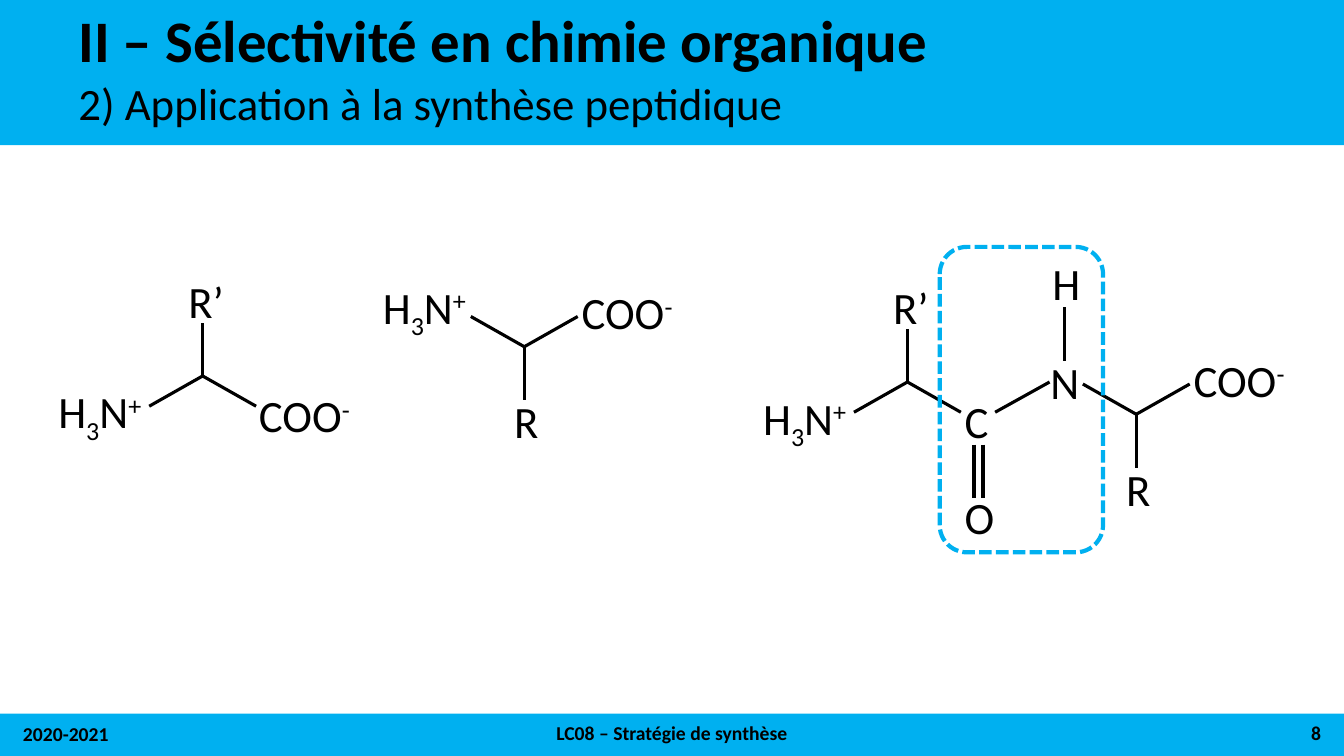
from lxml.etree import SubElement
from pptx import Presentation
from pptx.dml.color import RGBColor
from pptx.enum.dml import MSO_LINE
from pptx.enum.shapes import MSO_CONNECTOR, MSO_SHAPE
from pptx.enum.text import MSO_ANCHOR, PP_ALIGN
from pptx.oxml.ns import qn
from pptx.util import Inches, Pt

COLORS = {"blue": "00B0F0", "black": "000000"}
AMINE = [("H", 0), ("3", -25), ("N", 0), ("+", 30)]
ACID = [("COO", 0), ("-", 30)]
BOND_X, BOND_Y, BOND_LENGTH = 0.53, 0.3, 0.53


def rgb(name):
    """Return the named palette colour."""
    return RGBColor.from_string(COLORS[name])


def add_band(s, top, height):
    """Draw a full-width blue band."""
    sp = s.shapes.add_shape(MSO_SHAPE.RECTANGLE, 0, Inches(top), Inches(13.33), Inches(height))
    sp.shadow.inherit = False
    sp.fill.solid()
    sp.fill.fore_color.rgb = rgb("blue")
    sp.line.fill.background()


def add_text(shapes, parts, box, size=32, bold=False, align=PP_ALIGN.LEFT,
             anchor=MSO_ANCHOR.MIDDLE, spacing=1.0):
    """Add one line made of (text, baseline percent) parts."""
    tf = shapes.add_textbox(*[Inches(v) for v in box]).text_frame
    tf.word_wrap = True
    tf.vertical_anchor = anchor
    p = tf.paragraphs[0]
    p.alignment = align
    p.line_spacing = spacing
    for text, baseline in parts:
        r = p.add_run()
        r.text = text
        r.font.name = "Calibri"
        r.font.size = Pt(size)
        r.font.bold = bold
        r.font.color.rgb = rgb("black")
        if baseline:
            r.font._element.set("baseline", str(baseline * 1000))


def add_label(shapes, parts, left, top, width=1.17):
    """Place a chemical group label."""
    add_text(shapes, parts, (left, top, width, 0.71))


def add_atom(shapes, symbol, left, top):
    """Place a one-letter label."""
    add_label(shapes, [(symbol, 0)], left, top, 0.47)


def add_bond(shapes, x1, y1, x2, y2):
    """Draw a single bond."""
    line = shapes.add_connector(MSO_CONNECTOR.STRAIGHT, *[Inches(v) for v in (x1, y1, x2, y2)])
    line.line.color.rgb = rgb("black")
    line.line.width = Pt(2.25)
    SubElement(line._element.spPr, qn("a:effectLst"))


def add_carbon(shapes, x, y, side):
    """Draw three bonds around a carbon; side is -1 for an upward chain, 1 for downward."""
    for dx, dy in ((-BOND_X, -side * BOND_Y), (BOND_X, -side * BOND_Y), (0, side * BOND_LENGTH)):
        add_bond(shapes, x, y, x + dx, y + dy)


def add_amine_end(shapes, x, y):
    """Draw the residue carrying R’ and the free amine."""
    add_carbon(shapes, x, y, -1)
    add_label(shapes, [("R’", 0)], x - 0.24, y - 1.1)
    add_label(shapes, AMINE, x - 1.53, y + 0.03)


def add_acid_end(shapes, x, y):
    """Draw the residue carrying R and the free acid."""
    add_carbon(shapes, x, y, 1)
    add_atom(shapes, "R", x - 0.2, y + 0.38)
    add_label(shapes, ACID, x + 0.47, y - 0.7)


def add_dipeptide(shapes):
    """Draw both residues joined by the peptide bond."""
    add_amine_end(shapes, 9, 3.79)
    add_acid_end(shapes, 11.27, 4.11)
    add_bond(shapes, 9.87, 4.09, 10.41, 3.79)
    add_bond(shapes, 10.56, 3.05, 10.56, 3.58)
    for x in (9.66, 9.75):
        add_bond(shapes, x, 4.41, x, 4.94)
    for symbol, left, top in (("C", 9.47, 3.82), ("O", 9.47, 4.77),
                              ("N", 10.32, 3.43), ("H", 10.34, 2.45)):
        add_atom(shapes, symbol, left, top)


def add_highlight(s):
    """Outline the peptide bond with a dashed frame."""
    sp = s.shapes.add_shape(MSO_SHAPE.ROUNDED_RECTANGLE,
                            Inches(9.32), Inches(2.45), Inches(1.62), Inches(3.03))
    sp.shadow.inherit = False
    sp.fill.background()
    sp.line.color.rgb = rgb("blue")
    sp.line.width = Pt(3)
    sp.line.dash_style = MSO_LINE.SQUARE_DOT


def main():
    """Build and save the slide."""
    prs = Presentation()
    prs.slide_width, prs.slide_height = Inches(13.33), Inches(7.5)
    s = prs.slides.add_slide(prs.slide_layouts[6])

    add_band(s, -0.01, 1.45)
    add_band(s, 7.08, 0.42)
    add_text(s.shapes, [("II – Sélectivité en chimie organique", 0)],
             (0.68, 0.11, 11.74, 0.65), 42, True, spacing=0.9)
    add_text(s.shapes, [("2) Application à la synthèse peptidique", 0)],
             (0.68, 0.8, 11.74, 0.55), anchor=MSO_ANCHOR.TOP, spacing=0.8)
    for text, left, top, width, align in (
            ("2020-2021", 0.13, 7.08, 3, PP_ALIGN.LEFT),
            ("LC08 – Stratégie de synthèse", 3.13, 7.07, 7.07, PP_ALIGN.CENTER),
            ("8", 10.2, 7.07, 3, PP_ALIGN.RIGHT)):
        add_text(s.shapes, [(text, 0)], (left, top, width, 0.4), 14, True, align)

    first, second, dipeptide = [s.shapes.add_group_shape().shapes for _ in range(3)]
    add_amine_end(first, 2.01, 3.73)
    add_label(first, ACID, 2.47, 3.76)
    add_acid_end(second, 5.2, 3.44)
    add_label(second, AMINE, 3.7, 2.72)
    add_dipeptide(dipeptide)
    add_highlight(s)

    prs.save("out.pptx")


if __name__ == "__main__":
    main()
